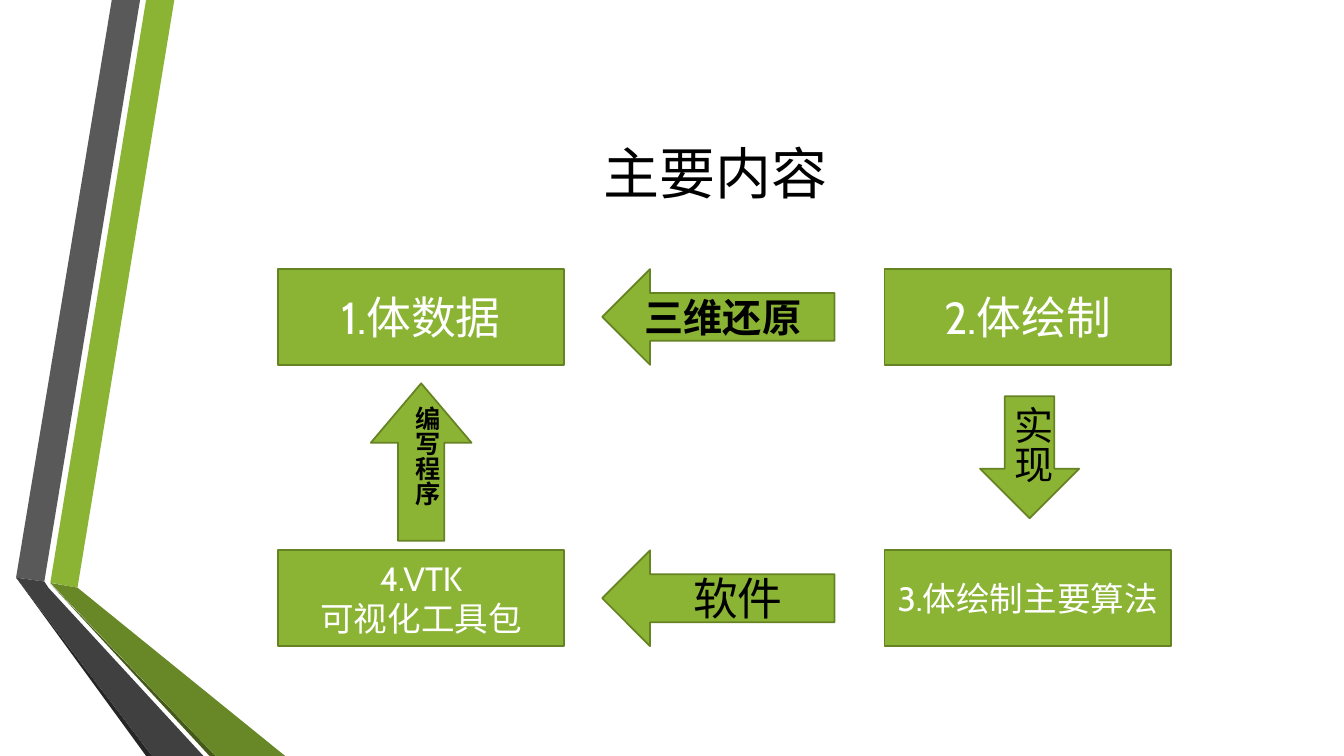
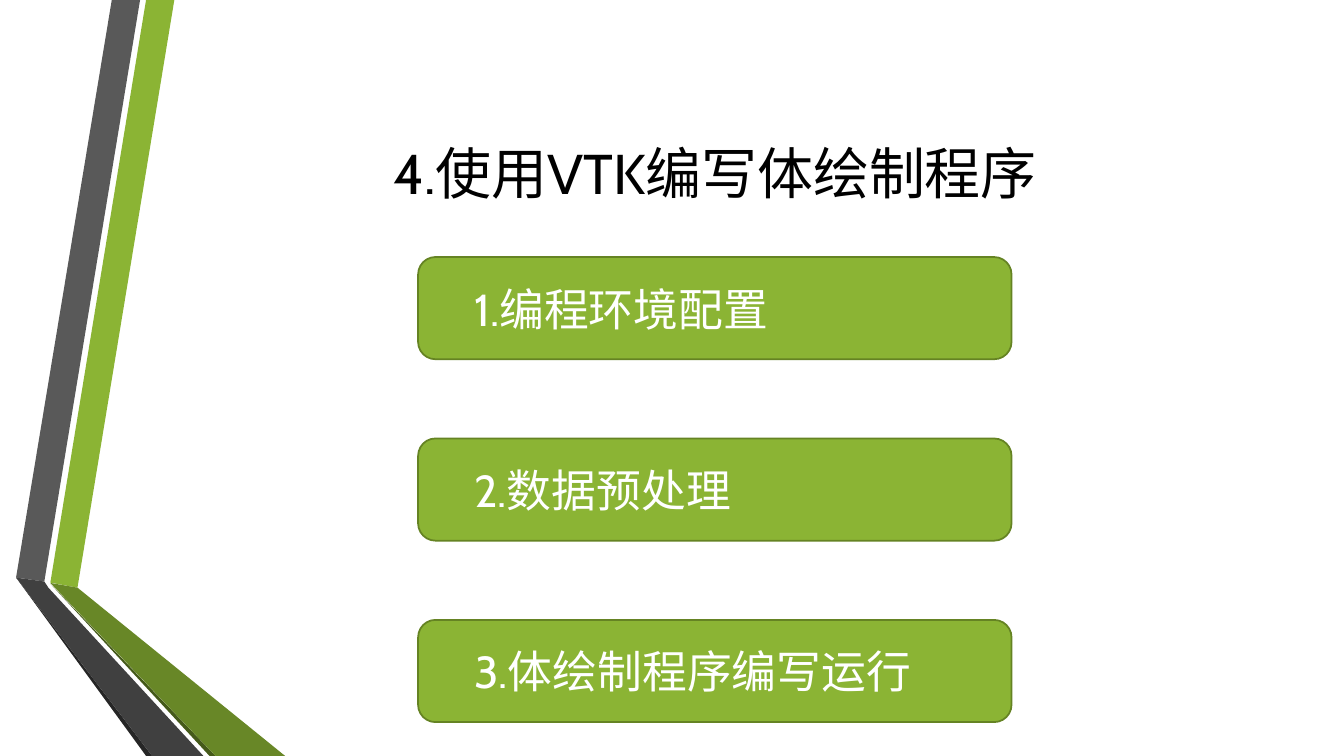
"""Build two slides on writing a volume rendering program."""
from lxml.etree import SubElement
from pptx import Presentation
from pptx.dml.color import RGBColor
from pptx.enum.shapes import MSO_SHAPE
from pptx.enum.text import MSO_ANCHOR, MSO_AUTO_SIZE, PP_ALIGN
from pptx.oxml.ns import qn
from pptx.util import Pt

GREEN = RGBColor(0x8B, 0xB4, 0x34)
GREEN_SHADE = RGBColor(0x68, 0x87, 0x27)
GREEN_EDGE = RGBColor(0x45, 0x5A, 0x1A)
OUTLINE = RGBColor(0x65, 0x83, 0x23)
GREY = RGBColor(0x59, 0x59, 0x59)
GREY_SHADE = RGBColor(0x40, 0x40, 0x40)
GREY_EDGE = RGBColor(0x26, 0x26, 0x26)
BLACK = RGBColor(0, 0, 0)
WHITE = RGBColor(0xFF, 0xFF, 0xFF)
FONT = "Cabin"

BANDS = [
    (GREEN, [(36, 416.2), (55.4, 419.8), (124.6, 0), (104.4, 0)]),
    (GREY, [(100.1, 0), (79.9, 0), (11.5, 412.6), (31.7, 415.4)]),
    (GREY_EDGE, [(11.5, 412.6), (104.4, 540), (108.7, 540)]),
    (GREEN_EDGE, [(36, 416.9), (149.8, 540), (154.1, 540)]),
    (GREEN_SHADE, [(36, 416.4), (154.1, 540), (203.8, 540), (55.4, 419.8)]),
    (GREY_SHADE, [(145.4, 540), (34.6, 419.8), (31.7, 415.4), (11.5, 412.6),
                  (108.7, 540)]),
]


class Deck:
    """Hold the shared style and the current slide."""

    def __init__(self):
        """Open a presentation and place the title on its layout."""
        self.presentation = Presentation()
        self.presentation.slide_width = Pt(960.48)
        self.presentation.slide_height = Pt(540)
        self.layout = self.presentation.slide_layouts[5]
        self.slide = None
        self.place(self.layout.placeholders[0], 116.6, 54, 789.1, 138.2)

    def place(self, shape, left, top, width, height):
        """Set the frame of a shape in points."""
        shape.left, shape.top = Pt(left), Pt(top)
        shape.width, shape.height = Pt(width), Pt(height)

    def add_slide(self, title):
        """Start a slide with its title, drawing the bands for the first."""
        first = self.slide is None
        self.slide = self.presentation.slides.add_slide(self.layout)
        if first:
            for color, points in BANDS:
                self.add_band(color, points)
        self.add_text(self.slide.shapes.title, [title], 40, BLACK)

    def add_band(self, color, points):
        """Draw one band and move it to the shared layout."""
        corners = [(Pt(x), Pt(y)) for x, y in points]
        builder = self.slide.shapes.build_freeform(*corners[0])
        builder.add_line_segments(corners[1:])
        band = builder.convert_to_shape()
        band.shadow.inherit = False
        band.fill.solid()
        band.fill.fore_color.rgb = color
        band.line.fill.background()
        self.layout.shapes.element.append(band.element)

    def add_text(self, shape, lines, size, color, align=PP_ALIGN.CENTER,
                 anchor=MSO_ANCHOR.MIDDLE, bold=False):
        """Fill a shape with lines as paragraphs of one run each."""
        frame = shape.text_frame
        frame.word_wrap = True
        frame.auto_size = MSO_AUTO_SIZE.NONE
        frame.vertical_anchor = anchor
        for index, line in enumerate(lines):
            paragraph = frame.add_paragraph() if index else frame.paragraphs[0]
            paragraph.alignment = align
            run = paragraph.add_run()
            run.text = line
            run.font.name = FONT
            run.font.size = Pt(size)
            run.font.bold = bold
            run.font.color.rgb = color
        for properties in shape.element.iter(qn("a:rPr")):
            SubElement(properties, qn("a:ea"), typeface=FONT)

    def add_figure(self, kind, left, top, width, height, adjustments=()):
        """Draw a green preset shape."""
        shape = self.slide.shapes.add_shape(
            kind, Pt(left), Pt(top), Pt(width), Pt(height))
        shape.shadow.inherit = False
        shape.fill.solid()
        shape.fill.fore_color.rgb = GREEN
        shape.line.color.rgb = OUTLINE
        shape.line.width = Pt(1.25)
        for index, value in enumerate(adjustments):
            shape.adjustments[index] = value
        return shape

    def add_box(self, left, top, lines, size):
        """Draw a step of the cycle."""
        box = self.add_figure(MSO_SHAPE.RECTANGLE, left, top, 204.5, 68.4)
        self.add_text(box, lines, size, WHITE)

    def add_bar(self, top, text):
        """Draw a rounded bar with indented text."""
        bar = self.add_figure(MSO_SHAPE.ROUNDED_RECTANGLE,
                              298.8, top, 424.1, 73, [0.17])
        bar.text_frame.margin_left = Pt(36.5)
        self.add_text(bar, [text], 32, WHITE, PP_ALIGN.LEFT)

    def add_label(self, left, top, width, height, text, size, bold=False,
                  vertical=False):
        """Add the label of an arrow, across or downwards."""
        label = self.slide.shapes.add_textbox(
            Pt(left), Pt(top), Pt(width), Pt(height))
        align = PP_ALIGN.CENTER if vertical else PP_ALIGN.LEFT
        self.add_text(label, [text], size, BLACK, align, MSO_ANCHOR.TOP, bold)
        if vertical:
            frame = label.text_frame
            frame.margin_left = frame.margin_right = Pt(3.6)
            frame.margin_top = frame.margin_bottom = Pt(7.2)
            label.element.find(".//" + qn("a:bodyPr")).set("vert", "eaVert")


def main():
    """Build and save both slides."""
    deck = Deck()

    deck.add_slide("主要内容")
    left, right, upper, lower = 198.7, 632.2, 192.2, 393.1
    deck.add_box(left, upper, ["1.体数据"], 32)
    deck.add_box(right, upper, ["2.体绘制"], 32)
    deck.add_box(right, lower, ["3.体绘制主要算法"], 24)
    deck.add_box(left, lower, ["4.VTK", "可视化工具包"], 24)
    for top in (upper, lower):
        deck.add_figure(MSO_SHAPE.LEFT_ARROW, 430.4, top, 166, 68.4, [0.5, 0.5])
    deck.add_figure(MSO_SHAPE.DOWN_ARROW, 700.4, 283, 70.8, 87.2, [0.5, 0.5])
    deck.add_figure(MSO_SHAPE.UP_ARROW, 265, 273.8, 72, 112.5, [0.46, 0.59])
    deck.add_label(453.6, 205.9, 142.6, 41, "三维还原", 28, bold=True)
    deck.add_label(488.2, 403.9, 126, 46.1, "软件", 32)
    deck.add_label(710.6, 283, 47.5, 80.6, "实现", 28, vertical=True)
    deck.add_label(283.7, 283, 36, 115.2, "编写程序", 18, bold=True,
                   vertical=True)

    deck.add_slide("4.使用VTK编写体绘制程序")
    steps = ["1.编程环境配置", "2.数据预处理", "3.体绘制程序编写运行"]
    for index, step in enumerate(steps):
        deck.add_bar(183.6 + 129.6 * index, step)

    deck.presentation.save("out.pptx")


if __name__ == "__main__":
    main()
